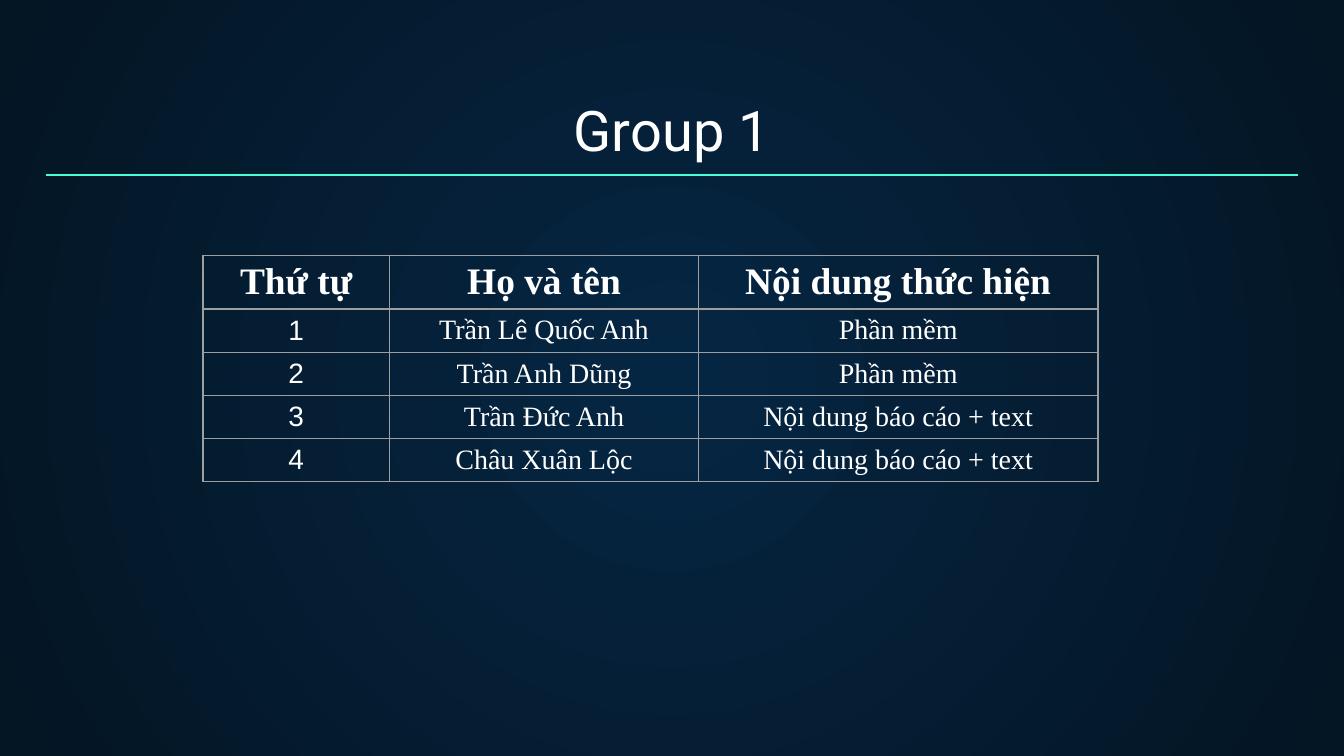
"""Build the group slide: a title, a rule and a table of members and tasks."""
from lxml import etree
from pptx import Presentation
from pptx.dml.color import RGBColor
from pptx.enum.shapes import MSO_CONNECTOR
from pptx.enum.text import MSO_ANCHOR, PP_ALIGN
from pptx.oxml.ns import qn
from pptx.util import Pt

STRAIGHT = MSO_CONNECTOR.STRAIGHT
CENTER = PP_ALIGN.CENTER
BOTTOM, MIDDLE = MSO_ANCHOR.BOTTOM, MSO_ANCHOR.MIDDLE

TITLE = "Group 1"
HEADINGS = ("Thứ tự", "Họ và tên", "Nội dung thức hiện")
MEMBERS = [
    ("Trần Lê Quốc Anh", "Phần mềm"),
    ("Trần Anh Dũng", "Phần mềm"),
    ("Trần Đức Anh", "Nội dung báo cáo + text"),
    ("Châu Xuân Lộc", "Nội dung báo cáo + text"),
]

SLIDE_WIDTH, SLIDE_HEIGHT = 720, 405
MARGIN, RULE_TOP = 24.5, 93.75
TITLE_TOP, TITLE_HEIGHT = 46.8, 47.5
TABLE_LEFT, TABLE_TOP = 108.7, 136.8
COLUMN_WIDTHS = (100, 165.6, 213.9)
HEADING_HEIGHT, MEMBER_HEIGHT = 24.5, 23

GLOW, NIGHT, MINT, GREY, WHITE = "052643", "041523", "48FFD5", "9E9E9E", "FFFFFF"
TITLE_FONT = {"name": "Roboto", "size": Pt(30), "bold": False}
HEADING_FONT = {"name": "Times New Roman", "size": Pt(20), "bold": True}
MEMBER_FONT = {"name": "Times New Roman", "size": Pt(15), "bold": False}
NUMBER_FONT = {**MEMBER_FONT, "name": "Arial"}
CELL_FORMAT = {
    "vertical_anchor": MIDDLE,
    "margin_top": Pt(3.25),
    "margin_bottom": Pt(3.25),
}


def color(hex_value):
    return RGBColor.from_string(hex_value)


def apply(target, values):
    for name, value in values.items():
        setattr(target, name, value)


def write(frame, text, font_values):
    paragraph = frame.paragraphs[0]
    paragraph.alignment = CENTER
    run = paragraph.add_run()
    run.text = text
    apply(run.font, font_values)
    run.font.color.rgb = color(WHITE)


def paint_background(slide):
    fill = slide.background.fill
    fill.gradient()
    for stop, shade, position in zip(fill.gradient_stops, (GLOW, NIGHT), (0, 1)):
        stop.color.rgb = color(shade)
        stop.position = position
    gradient = slide.background._cSld.find(".//" + qn("a:gradFill"))
    linear = gradient.find(qn("a:lin"))
    circle = etree.Element(qn("a:path"), path="circle")
    etree.SubElement(circle, qn("a:fillToRect"), l="50000", t="50000", r="50000", b="50000")
    gradient.replace(linear, circle)


def add_title(slide):
    title = slide.shapes.title
    apply(title, {
        "left": Pt(MARGIN), "top": Pt(TITLE_TOP),
        "width": Pt(SLIDE_WIDTH - 2 * MARGIN), "height": Pt(TITLE_HEIGHT),
    })
    apply(title.text_frame, {
        "vertical_anchor": BOTTOM, "word_wrap": True,
        "margin_left": Pt(7.2), "margin_right": Pt(7.2),
        "margin_top": Pt(7.2), "margin_bottom": Pt(7.2),
    })
    write(title.text_frame, TITLE, TITLE_FONT)


def add_rule(slide):
    rule = slide.shapes.add_connector(
        STRAIGHT, Pt(MARGIN), Pt(RULE_TOP), Pt(SLIDE_WIDTH - MARGIN), Pt(RULE_TOP))
    rule.line.color.rgb = color(MINT)
    rule.line.width = Pt(0.75)
    etree.SubElement(rule._element.spPr, qn("a:effectLst"))


def add_borders(cell):
    properties = cell._tc.get_or_add_tcPr()
    for side in "LRTB":
        border = etree.SubElement(properties, qn(f"a:ln{side}"), w=str(Pt(0.75)))
        solid = etree.SubElement(border, qn("a:solidFill"))
        etree.SubElement(solid, qn("a:srgbClr"), val=GREY)


def add_members(slide):
    rows = [HEADINGS] + [(str(n), *member) for n, member in enumerate(MEMBERS, 1)]
    heights = [HEADING_HEIGHT] + [MEMBER_HEIGHT] * len(MEMBERS)
    members = slide.shapes.add_table(
        len(rows), len(HEADINGS), Pt(TABLE_LEFT), Pt(TABLE_TOP),
        Pt(sum(COLUMN_WIDTHS)), Pt(sum(heights))).table
    apply(members, {"first_row": False, "horz_banding": False})
    for column, width in zip(members.columns, COLUMN_WIDTHS):
        column.width = Pt(width)
    for r, (texts, height) in enumerate(zip(rows, heights)):
        members.rows[r].height = Pt(height)
        for c, text in enumerate(texts):
            cell = members.cell(r, c)
            apply(cell, CELL_FORMAT)
            add_borders(cell)
            cell.fill.background()
            body_font = MEMBER_FONT if c else NUMBER_FONT
            write(cell.text_frame, text, body_font if r else HEADING_FONT)


def main():
    deck = Presentation()
    apply(deck, {"slide_width": Pt(SLIDE_WIDTH), "slide_height": Pt(SLIDE_HEIGHT)})
    slide = deck.slides.add_slide(deck.slide_layouts.get_by_name("Title Only"))
    paint_background(slide)
    add_title(slide)
    add_rule(slide)
    add_members(slide)
    deck.save("out.pptx")


if __name__ == "__main__":
    main()
